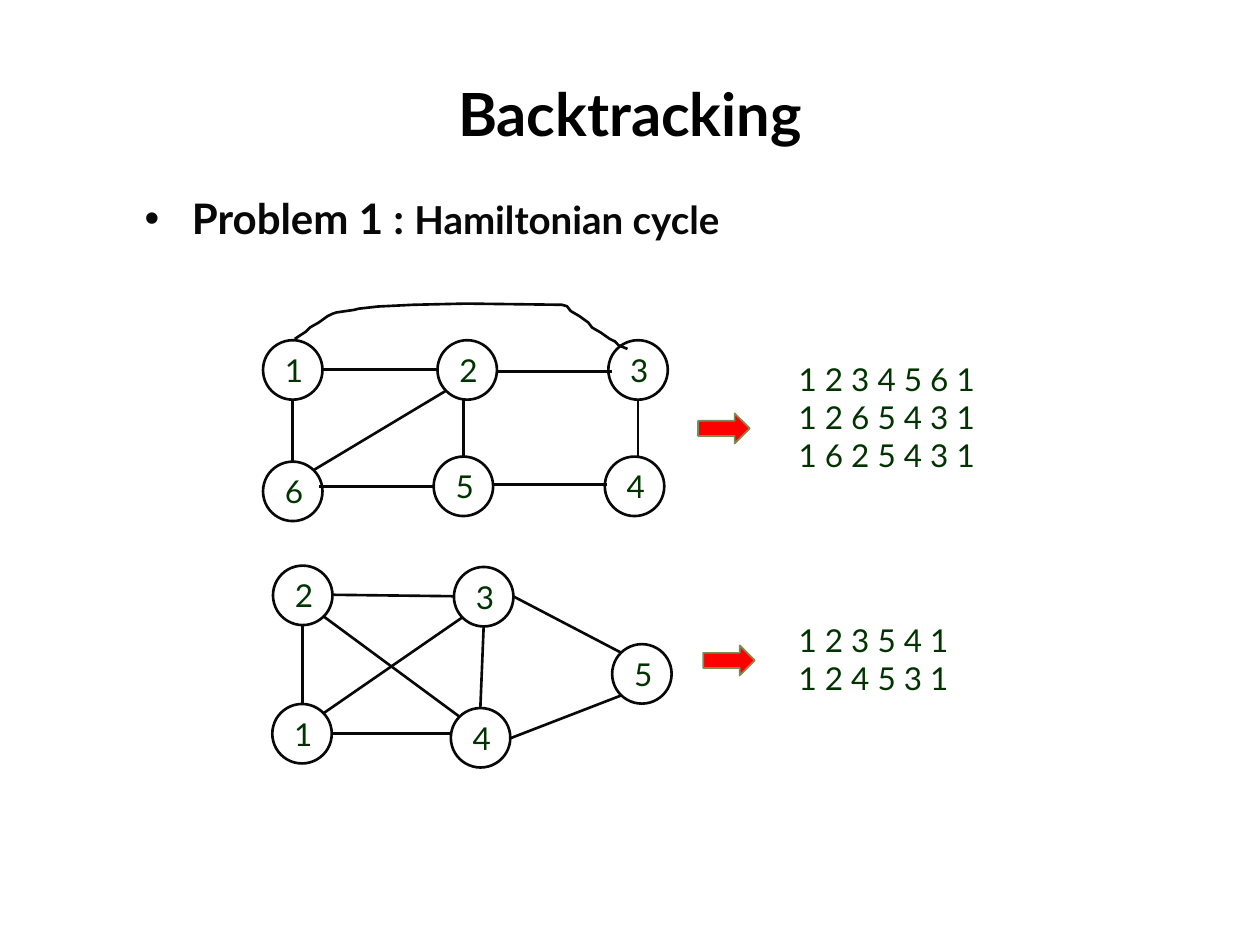
from dataclasses import dataclass

from lxml.etree import SubElement
from pptx import Presentation
from pptx.dml.color import RGBColor
from pptx.enum.shapes import MSO_CONNECTOR, MSO_SHAPE
from pptx.enum.text import MSO_ANCHOR, PP_ALIGN
from pptx.oxml.ns import qn
from pptx.util import Pt

COLORS = {"title": "000000", "ink": "080808", "label": "003300",
          "arrow": "FF0000", "arrow_edge": "7B8D55"}
FONT = "Lato"
DIAMETER = 34


@dataclass
class Node:
    label: str
    left: float
    top: float


@dataclass
class Edge:
    x1: float
    y1: float
    x2: float
    y2: float


@dataclass
class Graph:
    nodes: list[Node]
    edges: list[Edge]
    arrow: tuple[float, float]
    cycles: list[str]
    cycles_top: float
    cycles_height: float


GRAPHS = [
    Graph(
        [Node("1", 150.3, 194.4), Node("2", 250, 194.4), Node("3", 347.6, 194.4),
         Node("6", 150.3, 263.8), Node("5", 247.8, 260.9), Node("4", 345.6, 260.9)],
        [Edge(184.3, 211, 250, 211), Edge(283.7, 212.3, 349.9, 212.3),
         Edge(182.2, 278, 247.8, 278), Edge(281, 277, 347, 277),
         Edge(167.2, 263.8, 167.2, 228.4), Edge(364.5, 260.9, 364.5, 228.4),
         Edge(264.9, 260.9, 264.9, 228.4), Edge(179.3, 268.6, 255, 223.2)],
        (398.9, 236.2), ["1 2 3 4 5 6 1", "1 2 6 5 4 3 1", "1 6 2 5 4 3 1"], 202.3, 72.7),
    Graph(
        [Node("2", 156, 323.2), Node("3", 259.4, 324), Node("5", 349.8, 368.1),
         Node("1", 155.6, 402.3), Node("4", 257.6, 404.6)],
        [Edge(172.8, 402.3, 172.8, 357.1), Edge(190, 339.9, 259.4, 340.7),
         Edge(189.6, 419.1, 257.6, 419.1), Edge(274.5, 404.6, 276.4, 358),
         Edge(355, 373, 293.2, 340.7), Edge(355, 397.4, 291.6, 421.9),
         Edge(262.8, 409.7, 185, 352.3), Edge(185, 407.5, 264.2, 352.8)],
        (401.8, 368.8), ["1 2 3 5 4 1", "1 2 4 5 3 1"], 351.2, 51.1),
]

ARC = [(168.5, 193.7), (175, 189.4), (177.1, 187.2), (182.2, 184.3), (187.2, 180.7),
       (190.1, 179.3), (192.2, 178.6), (202.3, 177.1), (205.2, 176.4), (216, 175.2),
       (236.2, 174.2), (266.4, 173.5), (321.1, 174.2), (324, 175), (326.2, 177.8),
       (331.2, 180.7), (336.2, 184.3), (338.4, 187.2), (343.4, 190.1), (348.5, 193.7),
       (351.4, 195.1), (353.5, 197.3), (358.6, 199.4)]


def rgb(name: str) -> RGBColor:
    """Look up a named colour."""
    return RGBColor.from_string(COLORS[name])


def add_run(p, text: str, size: float, color: str, bold: bool = False) -> None:
    """Append one styled run to a paragraph."""
    r = p.add_run()
    r.text = text
    r.font.name = FONT
    r.font.size = Pt(size)
    r.font.bold = bold
    r.font.color.rgb = rgb(color)


def add_box(s, left: float, top: float, width: float, height: float):
    """Add a wrapping text box and return its text frame."""
    tf = s.shapes.add_textbox(Pt(left), Pt(top), Pt(width), Pt(height)).text_frame
    tf.word_wrap = True
    return tf


def set_outline(sp, color: str, width: float) -> None:
    """Give a shape a plain outline and no shadow."""
    sp.shadow.inherit = False
    sp.line.color.rgb = rgb(color)
    sp.line.width = Pt(width)


def add_title(s, text: str) -> None:
    """Add the centred slide title."""
    tf = add_box(s, 36, 36, 648, 57)
    tf.vertical_anchor = MSO_ANCHOR.MIDDLE
    p = tf.paragraphs[0]
    p.alignment = PP_ALIGN.CENTER
    add_run(p, text, 34, "title", True)


def add_problem(s, heading: str, topic: str) -> None:
    """Add the bulleted problem statement."""
    p = add_box(s, 75.6, 106.6, 566.6, 324).paragraphs[0]
    p.alignment = PP_ALIGN.JUSTIFY
    pPr = p._p.get_or_add_pPr()
    pPr.set("marL", str(Pt(27)))
    pPr.set("indent", str(Pt(-27)))
    SubElement(pPr, qn("a:buFont"), typeface="Arial")
    SubElement(pPr, qn("a:buChar"), char="•")
    add_run(p, heading, 24, "ink", True)
    add_run(p, topic, 22, "ink", True)


def add_node(s, node: Node) -> None:
    """Draw a numbered circle."""
    sp = s.shapes.add_shape(MSO_SHAPE.OVAL, Pt(node.left), Pt(node.top),
                            Pt(DIAMETER), Pt(DIAMETER))
    sp.fill.background()
    set_outline(sp, "ink", 1.5)
    tf = sp.text_frame
    tf.margin_left = Pt(1.5)
    tf.margin_right = tf.margin_top = tf.margin_bottom = 0
    tf.vertical_anchor = MSO_ANCHOR.MIDDLE
    p = tf.paragraphs[0]
    p.alignment = PP_ALIGN.CENTER
    add_run(p, node.label, 18, "label")


def add_edge(s, edge: Edge) -> None:
    """Draw a straight edge between two nodes."""
    cx = s.shapes.add_connector(MSO_CONNECTOR.STRAIGHT, Pt(edge.x1), Pt(edge.y1),
                                Pt(edge.x2), Pt(edge.y2))
    cx.line.color.rgb = rgb("ink")
    cx.line.width = Pt(1.5)
    SubElement(cx._element.spPr, qn("a:effectLst"))


def add_arc(s, points: list[tuple[float, float]]) -> None:
    """Draw the hand-drawn edge over the top of a graph."""
    (x, y), *rest = [(Pt(px), Pt(py)) for px, py in points]
    fb = s.shapes.build_freeform(x, y)
    fb.add_line_segments(rest, close=False)
    sp = fb.convert_to_shape()
    sp.fill.background()
    set_outline(sp, "ink", 1.5)


def add_graph(s, graph: Graph) -> None:
    """Draw a graph, its arrow and its list of cycles."""
    for node in graph.nodes:
        add_node(s, node)
    for edge in graph.edges:
        add_edge(s, edge)
    left, top = graph.arrow
    sp = s.shapes.add_shape(MSO_SHAPE.RIGHT_ARROW, Pt(left), Pt(top), Pt(29.5), Pt(17.2))
    sp.fill.solid()
    sp.fill.fore_color.rgb = rgb("arrow")
    set_outline(sp, "arrow_edge", 1)
    tf = add_box(s, 449.3, graph.cycles_top, 141.8, graph.cycles_height)
    for i, cycle in enumerate(graph.cycles):
        p = tf.add_paragraph() if i else tf.paragraphs[0]
        add_run(p, cycle, 18, "label")


def main() -> None:
    """Build and save the slide."""
    prs = Presentation()
    prs.slide_width, prs.slide_height = Pt(720), Pt(540)
    s = prs.slides.add_slide(prs.slide_layouts[6])
    add_title(s, "Backtracking")
    add_problem(s, "Problem 1 : ", "Hamiltonian cycle")
    for graph in GRAPHS:
        add_graph(s, graph)
    add_arc(s, ARC)
    prs.save("out.pptx")


if __name__ == "__main__":
    main()
